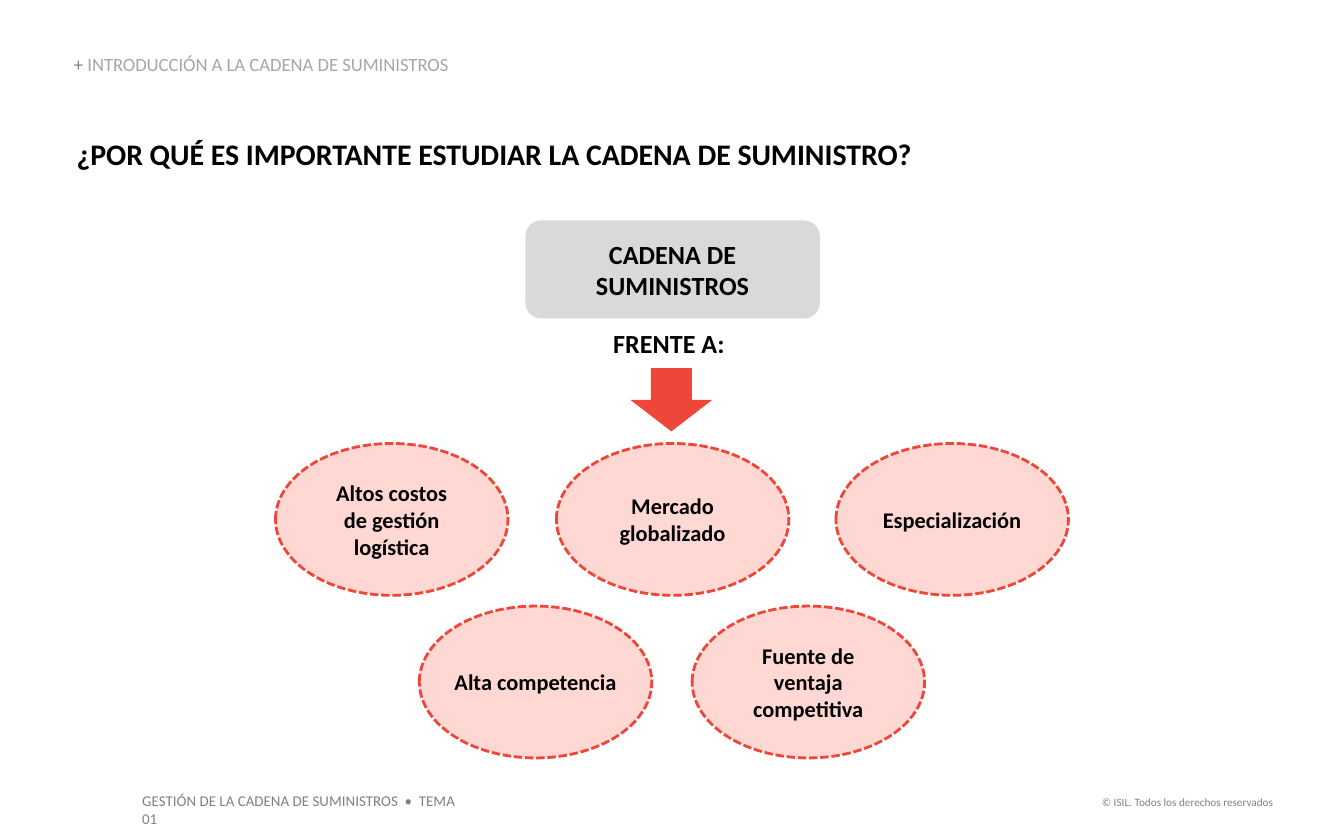
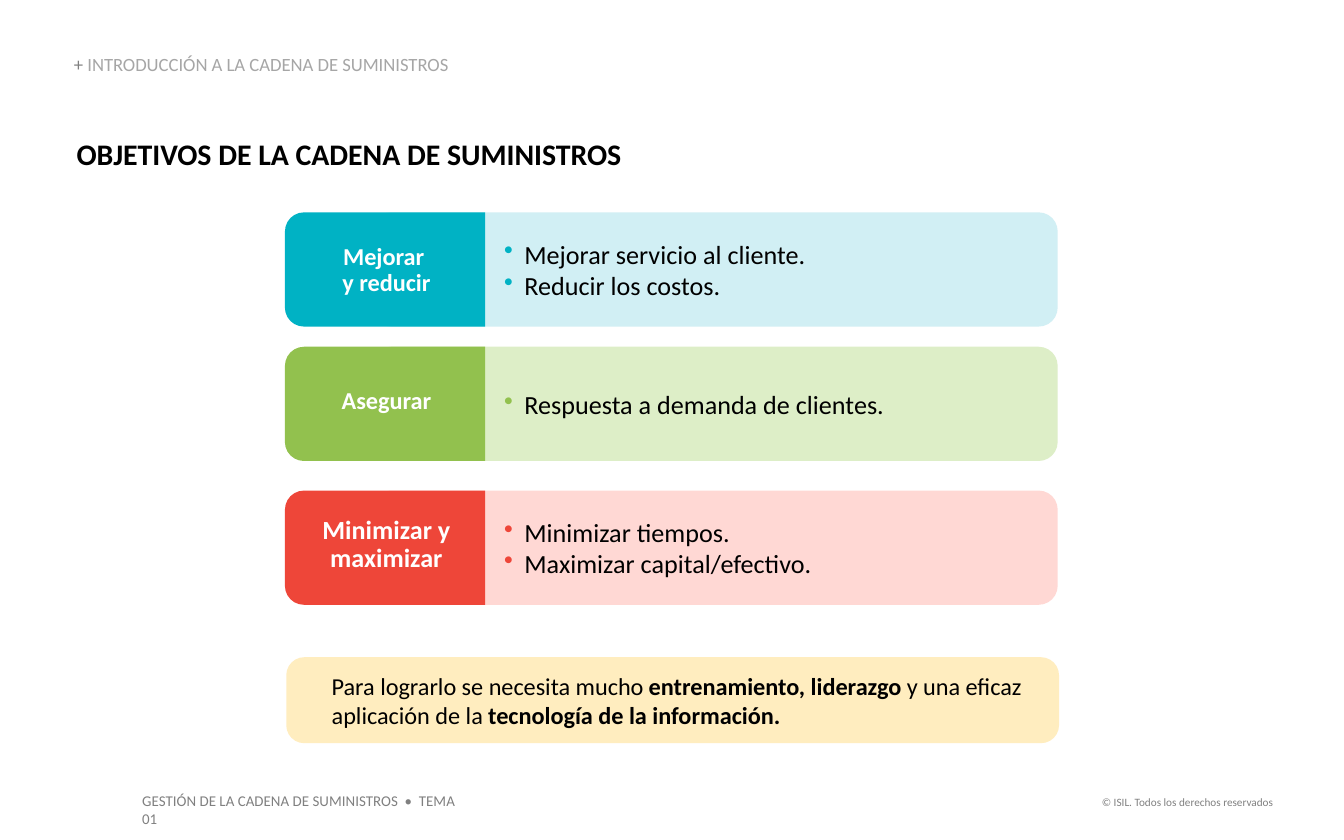
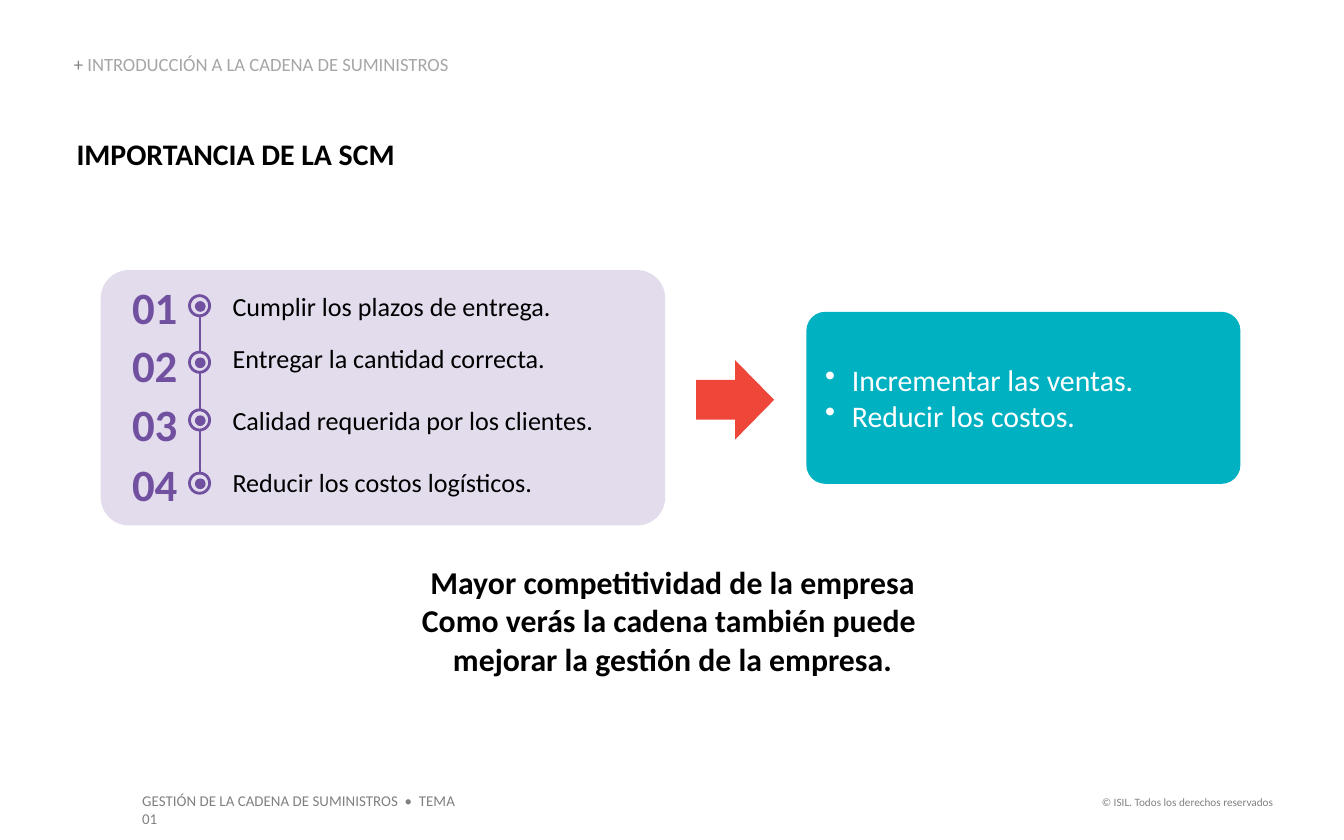
"""Builds three slides about the supply chain."""
from dataclasses import dataclass
from typing import Any, NamedTuple, Optional, Sequence

from lxml.etree import SubElement
from pptx import Presentation
from pptx.dml.color import RGBColor
from pptx.enum.dml import MSO_LINE
from pptx.enum.shapes import MSO_CONNECTOR, MSO_SHAPE
from pptx.enum.text import MSO_ANCHOR, PP_ALIGN
from pptx.oxml.ns import qn
from pptx.util import Emu, Pt

SCALE = 9144
FONT = "Calibri"
BLACK, WHITE, GRAY, PALE, SILVER = "000000", "FFFFFF", "808080", "A6A6A6", "D9D9D9"
RED, ROSE, TEAL, SKY = "EE4639", "FFD8D4", "00B2C4", "D1EFF4"
GREEN, LIME, CREAM, PURPLE, LILAC = "92C14E", "DDEEC7", "FFEDBF", "7150A0", "E3DCED"
AQUA = "00B1C2"
FLUSH = (0, 0, 0, 0)


class Box(NamedTuple):
    """Left, top, width and height in px."""
    left: int
    top: int
    wide: int
    high: int


class Run(NamedTuple):
    """A piece of text with its own weight or colour."""
    text: str
    bold: Optional[bool] = None
    color: str = ""


@dataclass(frozen=True)
class Style:
    """How a block of text looks."""
    size: int
    color: str = BLACK
    bold: bool = False
    align: Any = PP_ALIGN.LEFT
    anchor: Any = MSO_ANCHOR.TOP
    pad: tuple[int, int, int, int] = (10, 5, 10, 5)
    space: float = 1.0
    inset: int = 0
    hang: int = 0
    dot: str = ""


class Form(NamedTuple):
    """Geometry, fill and outline of a shape."""
    kind: Any
    fill: str
    line: str = ""
    width: float = 1.5
    dash: Any = None
    round: Optional[float] = None
    turn: int = 0


class Goal(NamedTuple):
    """One row of the goals slide."""
    top: int
    drop: int
    size: int
    dark: str
    light: str
    name: str
    items: tuple[str, ...]


class Step(NamedTuple):
    """One numbered step with its heights."""
    num: int
    ring: int
    note: int
    text: str


Lines = Sequence[Sequence[Run]]

CENTER = dict(align=PP_ALIGN.CENTER, anchor=MSO_ANCHOR.MIDDLE)
TITLE = Style(16, bold=True, pad=FLUSH, inset=1)
CRUMB = Style(10, PALE, anchor=MSO_ANCHOR.BOTTOM, pad=FLUSH, space=0.9)
RIGHTS = Style(6, GRAY, align=PP_ALIGN.RIGHT)
FOOT = Style(8, GRAY)
HEAD = Style(14, bold=True, **CENTER)
OVAL = Form(MSO_SHAPE.OVAL, ROSE, RED, dash=MSO_LINE.SQUARE_DOT)
RING = Form(MSO_SHAPE.OVAL, LILAC, PURPLE)
DISC = Form(MSO_SHAPE.OVAL, PURPLE)

OVALS = (
    (205, 330, "Altos costos\nde gestión logística"),
    (414, 330, "Mercado globalizado"),
    (622, 330, "Especialización"),
    (312, 451, "Alta competencia"),
    (515, 451, "Fuente de ventaja competitiva"),
)
GOALS = (
    Goal(158, 25, 13, TEAL, SKY, "Mejorar \ny reducir",
         ("Mejorar servicio al cliente.", "Reducir los costos.")),
    Goal(258, 22, 13, GREEN, LIME, "Asegurar",
         ("Respuesta a demanda de clientes.",)),
    Goal(365, 22, 14, RED, ROSE, "Minimizar y maximizar",
         ("Minimizar tiempos.", "Maximizar capital/efectivo.")),
)
STEPS = (
    Step(208, 220, 216, "Cumplir los plazos de entrega."),
    Step(251, 262, 255, "Entregar la cantidad correcta."),
    Step(295, 305, 301, "Calidad requerida por los clientes."),
    Step(340, 352, 347, "Reducir los costos logísticos."),
)


def px(value: int) -> Emu:
    """Turns px into EMU."""
    return Emu(value * SCALE)


def tint(code: str) -> RGBColor:
    """Turns a hex string into a colour."""
    return RGBColor.from_string(code)


def dress(item: Any, looks: dict[str, Any]) -> None:
    """Sets each named value on an object."""
    for name, value in looks.items():
        setattr(item, name, value)


def plain(*lines: str) -> Lines:
    """Makes one paragraph of one run from each line."""
    return [[Run(line)] for line in lines]


def mark(para: Any, style: Style) -> None:
    """Sets the indents and bullet of a paragraph."""
    props = para._p.get_or_add_pPr()
    props.set("marL", str(px(style.inset)))
    props.set("indent", str(px(-style.hang)))
    if style.dot:
        tone = SubElement(props, qn("a:buClr"))
        SubElement(tone, qn("a:srgbClr")).set("val", style.dot)
        SubElement(props, qn("a:buChar")).set("char", "•")


def put(para: Any, run: Run, style: Style) -> None:
    """Adds a run, with a line break at each newline."""
    for index, text in enumerate(run.text.split("\n")):
        if index:
            para.add_line_break()
        piece = para.add_run()
        piece.text = text
        bold = style.bold if run.bold is None else run.bold
        dress(piece.font, dict(name=FONT, size=Pt(style.size), bold=bold))
        piece.font.color.rgb = tint(run.color or style.color)


def write(shape: Any, lines: Lines, style: Style) -> None:
    """Fills a shape with styled text."""
    frame = shape.text_frame
    left, top, right, base = map(px, style.pad)
    dress(frame, dict(word_wrap=True, vertical_anchor=style.anchor,
                      margin_left=left, margin_top=top,
                      margin_right=right, margin_bottom=base))
    for index, line in enumerate(lines):
        para = frame.add_paragraph() if index else frame.paragraphs[0]
        mark(para, style)
        dress(para, dict(alignment=style.align, line_spacing=style.space))
        for run in line:
            put(para, run, style)


def label(slide: Any, box: Box, lines: Lines, style: Style) -> None:
    """Adds a text box."""
    write(slide.shapes.add_textbox(*map(px, box)), lines, style)


def draw(slide: Any, box: Box, form: Form) -> Any:
    """Adds a preset shape."""
    shape = slide.shapes.add_shape(form.kind, *map(px, box))
    shape.shadow.inherit = False
    shape.rotation = form.turn
    shape.fill.solid()
    shape.fill.fore_color.rgb = tint(form.fill)
    if form.round is not None:
        shape.adjustments[0] = form.round
    if form.line:
        shape.line.color.rgb = tint(form.line)
        dress(shape.line, dict(width=Pt(form.width), dash_style=form.dash))
    else:
        shape.line.fill.background()
    return shape


def block(fill: str, curve: Optional[float] = None) -> Form:
    """Describes a rounded block."""
    return Form(MSO_SHAPE.ROUNDED_RECTANGLE, fill, round=curve)


def start(deck: Any, title: str) -> Any:
    """Adds a slide with its footers, title and section."""
    slide = deck.slides.add_slide(deck.slide_layouts[6])
    label(slide, Box(807, 587, 150, 20),
          plain("© ISIL. Todos los derechos reservados"), RIGHTS)
    label(slide, Box(96, 584, 266, 24),
          plain("GESTIÓN DE LA CADENA DE SUMINISTROS  •  TEMA 01"), FOOT)
    label(slide, Box(56, 101, 893, 27), plain(title), TITLE)
    label(slide, Box(55, 41, 465, 15),
          [[Run("+ ", color=GRAY), Run("INTRODUCCIÓN A LA CADENA DE SUMINISTROS")]],
          CRUMB)
    return slide


def reasons(deck: Any) -> None:
    """Builds the slide of reasons."""
    slide = start(deck, "¿POR QUÉ ES IMPORTANTE ESTUDIAR LA CADENA DE SUMINISTRO?")
    style = Style(12, bold=True, pad=FLUSH, **CENTER)
    for left, top, text in OVALS:
        write(draw(slide, Box(left, top, 173, 113), OVAL), plain(text), style)
    front = draw(slide, Box(435, 238, 130, 34), Form(MSO_SHAPE.RECTANGLE, WHITE))
    write(front, plain("FRENTE A: "), HEAD)
    draw(slide, Box(476, 267, 47, 61), Form(MSO_SHAPE.RIGHT_ARROW, RED, turn=90))
    chain = draw(slide, Box(391, 164, 219, 73), block(SILVER, 0.16))
    write(chain, plain("CADENA DE SUMINISTROS"), HEAD)


def goals(deck: Any) -> None:
    """Builds the slide of goals."""
    slide = start(deck, "OBJETIVOS DE LA CADENA DE SUMINISTROS")
    for goal in GOALS:
        body = draw(slide, Box(277, goal.top, 510, 85), block(goal.light))
        write(body, plain(*goal.items),
              Style(14, anchor=MSO_ANCHOR.MIDDLE, pad=(94, 0, 0, 0),
                    inset=15, hang=15, dot=goal.dark))
        draw(slide, Box(244, goal.top - 32, 85, 149),
             Form(MSO_SHAPE.ROUND_2_SAME_RECTANGLE, goal.dark, turn=270))
        label(slide, Box(213, goal.top + goal.drop, 149, 37), plain(goal.name),
              Style(goal.size, WHITE, True, pad=(1, 1, 1, 1), space=0.9, **CENTER))
    note = draw(slide, Box(213, 489, 575, 64), block(CREAM, 0.21))
    write(note, [[Run("Para lograrlo se necesita mucho "),
                  Run("entrenamiento, liderazgo ", True),
                  Run("y una eficaz aplicación de la "),
                  Run("tecnología de la información.", True)]],
          Style(13, anchor=MSO_ANCHOR.MIDDLE, inset=20))


def value(deck: Any) -> None:
    """Builds the slide of steps and results."""
    slide = start(deck, "IMPORTANCIA DE LA SCM")
    label(slide, Box(244, 419, 512, 86),
          plain("Mayor competitividad de la empresa",
                "Como verás la cadena también puede \nmejorar la gestión de la empresa."),
          Style(17, bold=True, align=PP_ALIGN.CENTER, pad=FLUSH, inset=1))
    draw(slide, Box(75, 201, 420, 190), block(LILAC, 0.11))
    stem = slide.shapes.add_connector(MSO_CONNECTOR.STRAIGHT,
                                      *map(px, (149, 222, 149, 363)))
    stem.line.color.rgb = tint(PURPLE)
    stem.line.width = Pt(1)
    SubElement(stem._element.spPr, qn("a:effectLst"))
    digit = Style(24, PURPLE, True, PP_ALIGN.RIGHT, pad=FLUSH)
    for index, step in enumerate(STEPS, 1):
        label(slide, Box(88, step.num, 44, 40), plain(f"{index:02}"), digit)
        label(slide, Box(173, step.note, 308, 24), plain(step.text),
              Style(14, pad=FLUSH))
        draw(slide, Box(141, step.ring, 15, 15), RING)
        draw(slide, Box(145, step.ring + 4, 8, 8), DISC)
    draw(slide, Box(518, 268, 58, 59), Form(MSO_SHAPE.RIGHT_ARROW, RED))
    gain = draw(slide, Box(600, 232, 323, 128), block(AQUA, 0.11))
    write(gain, plain("Incrementar las ventas.", "Reducir los costos."),
          Style(16, WHITE, anchor=MSO_ANCHOR.MIDDLE, inset=20, hang=20, dot=WHITE))


def main() -> None:
    """Builds and saves the deck."""
    deck = Presentation()
    dress(deck, dict(slide_width=px(1000), slide_height=px(625)))
    for build in (reasons, goals, value):
        build(deck)
    deck.save("out.pptx")


if __name__ == "__main__":
    main()
